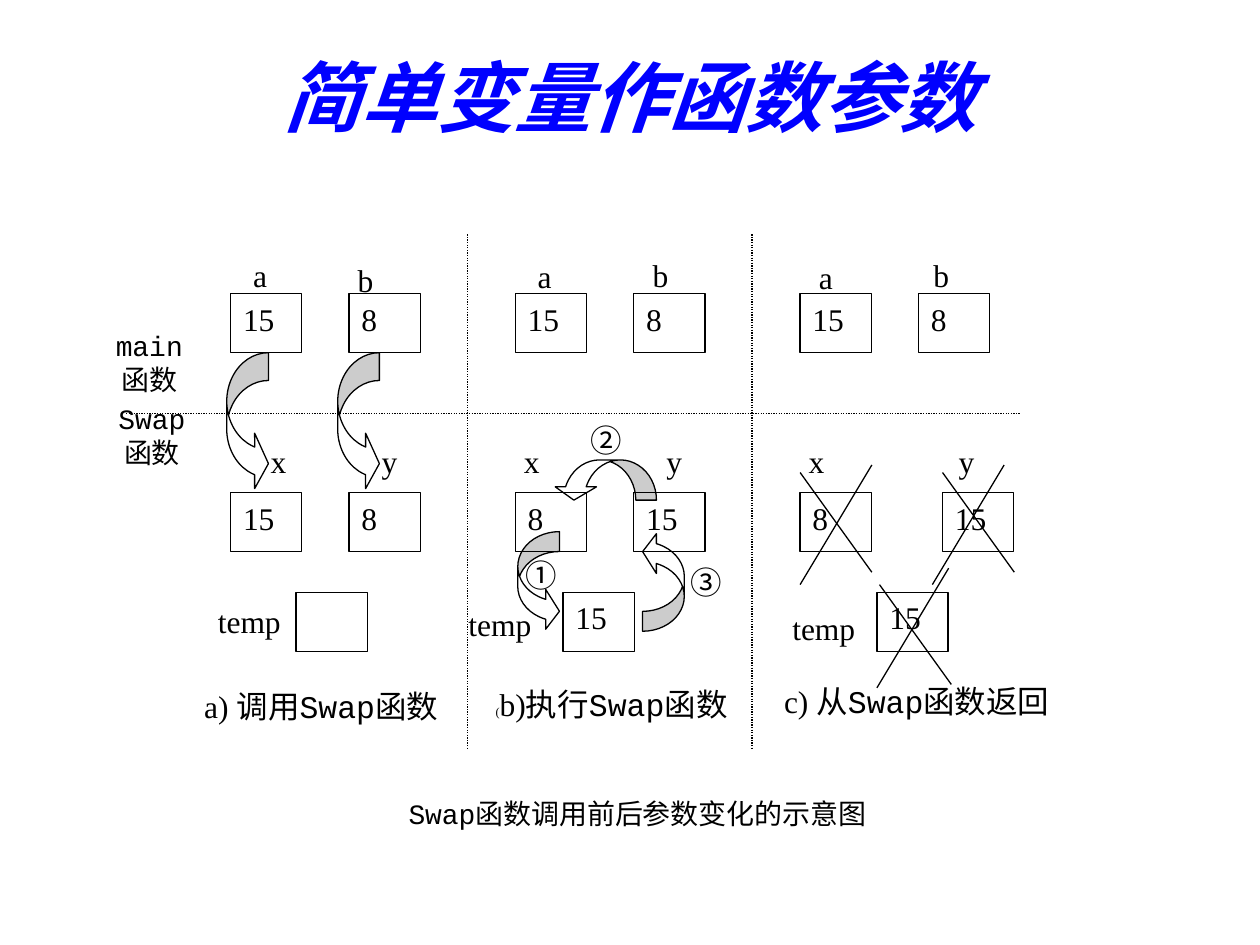
import dataclasses

import pptx
import pptx.dml.color
import pptx.enum.dml
import pptx.enum.shapes
import pptx.enum.text
import pptx.oxml.ns
import pptx.util
from lxml import etree

Pt = pptx.util.Pt
SHAPES = pptx.enum.shapes.MSO_SHAPE
ALIGN = pptx.enum.text.PP_ALIGN
ANCHOR = pptx.enum.text.MSO_ANCHOR


@dataclasses.dataclass
class Theme:
    ink: str = "000000"
    heading: str = "0000FF"
    paper: str = "FFFFFF"
    serif: str = "Times New Roman"
    mono: str = "Courier New"
    symbol: str = "Noto Sans CJK SC"
    title: float = 44
    body: float = 18
    note: float = 16
    tiny: float = 7
    stroke: float = 0.75


class Diagram:
    def __init__(self, slide, theme):
        self.slide = slide
        self.theme = theme

    def color(self, value):
        return pptx.dml.color.RGBColor.from_string(value)

    def fill_text(self, frame, paragraphs, size, align=ALIGN.LEFT, color=None):
        frame.word_wrap = True
        frame.vertical_anchor = ANCHOR.TOP
        for index, pieces in enumerate(paragraphs):
            paragraph = frame.paragraphs[0] if index == 0 else frame.add_paragraph()
            paragraph.alignment = align
            paragraph.font.size = Pt(size)
            paragraph.font.color.rgb = self.color(color or self.theme.ink)
            paragraph.font.name = pieces[0][1]
            for words, font, *special_size in pieces:
                run = paragraph.add_run()
                run.text = words
                if font != pieces[0][1]:
                    run.font.name = font
                if special_size:
                    run.font.size = Pt(special_size[0])

    def text(self, left, top, width, height, paragraphs, size, align=ALIGN.CENTER, color=None):
        box = self.slide.shapes.add_textbox(Pt(left), Pt(top), Pt(width), Pt(height))
        self.fill_text(box.text_frame, paragraphs, size, align, color)
        return box.text_frame

    def label(self, left, top, width, words, font=None):
        pieces = [(words, font or self.theme.serif)]
        self.text(left, top, width, 34.6, [pieces], self.theme.body, ALIGN.LEFT)

    def outline(self, shape):
        shape.shadow.inherit = False
        shape.line.color.rgb = self.color(self.theme.ink)
        shape.line.width = Pt(self.theme.stroke)

    def cell(self, left, top, value):
        cell = self.slide.shapes.add_shape(SHAPES.RECTANGLE, Pt(left), Pt(top), Pt(40.7), Pt(33.8))
        cell.fill.background()
        self.outline(cell)
        if value:
            self.fill_text(cell.text_frame, [[(value, self.theme.serif)]], self.theme.body)

    def line(self, x1, y1, x2, y2, dotted=False):
        line = self.slide.shapes.add_connector(
            pptx.enum.shapes.MSO_CONNECTOR.STRAIGHT, Pt(x1), Pt(y1), Pt(x2), Pt(y2))
        line.line.color.rgb = self.color(self.theme.ink)
        line.line.width = Pt(self.theme.stroke)
        if dotted:
            line.line.dash_style = pptx.enum.dml.MSO_LINE.ROUND_DOT
        properties = line._element.find(pptx.oxml.ns.qn("p:spPr"))
        etree.SubElement(properties, pptx.oxml.ns.qn("a:effectLst"))

    def cross(self, rising_x, rising_top, falling_x, falling_top):
        self.line(rising_x, rising_top + 68.4, rising_x + 41, rising_top)
        self.line(falling_x, falling_top, falling_x + 41, falling_top + 57)

    def curved_arrow(self, left, top, width, height, rotation=0):
        arrow = self.slide.shapes.add_shape(
            SHAPES.CURVED_RIGHT_ARROW, Pt(left), Pt(top), Pt(width), Pt(height))
        arrow.rotation = rotation
        for index, ratio in enumerate((0.2 * height / width, 0.4 * height / width, 0.33)):
            arrow.adjustments[index] = ratio
        arrow.fill.solid()
        arrow.fill.fore_color.rgb = self.color(self.theme.paper)
        self.outline(arrow)


def main():
    deck = pptx.Presentation()
    deck.slide_width, deck.slide_height = Pt(720), Pt(540)
    theme = Theme()
    diagram = Diagram(deck.slides.add_slide(deck.slide_layouts[6]), theme)
    serif, mono = theme.serif, theme.mono

    heading = diagram.text(53.3, 25.9, 614, 66.2, [[("简单变量作函数参数", serif)]],
                           theme.title, color=theme.heading)
    heading.vertical_anchor = ANCHOR.MIDDLE
    heading.paragraphs[0].line_spacing = 0.85
    heading.paragraphs[0].font.bold = True
    heading.paragraphs[0].font.italic = True
    diagram.text(201.6, 451.4, 325.4, 34.6,
                 [[("Swap函数", mono), ("调用前后参数变化的示意图", serif)]], theme.note)

    for arrow in ((295.9, 303.8, 23.8, 56.9), (334.1, 244.8, 23, 59, 90),
                  (367.2, 303.8, 23.8, 56.9, 180),
                  (129.6, 201.6, 23.8, 79.2), (193, 201.6, 23.8, 79.2)):
        diagram.curved_arrow(*arrow)

    for divider_x in (267.1, 429.8):
        diagram.line(divider_x, 133.9, divider_x, 427.7, dotted=True)
    diagram.line(72, 236.2, 583.2, 236.2, dotted=True)

    main_row, swap_row, temp_row = 167.8, 281.5, 338.4
    panels = (
        dict(x="15", y="8", temp="", y_offset=67.7, temp_left=169.2,
             labels=(("a", 137.5, 142.6, 32.4), ("b", 197.3, 145.4, 81.4),
                     ("x", 147.6, 249.1, 50), ("y", 211, 249.1, 54),
                     ("temp", 117.4, 340.6, 67))),
        dict(x="8", y="15", temp="15", y_offset=67.7, temp_left=321.8,
             labels=(("a", 300.2, 143.3, 32.4), ("b", 365.8, 142.6, 81.4),
                     ("x", 292.3, 249.1, 54), ("y", 373.7, 249.1, 54),
                     ("temp", 260.6, 342, 67))),
        dict(x="8", y="15", temp="15", y_offset=81.4, temp_left=501.1,
             labels=(("a", 460.8, 144, 32.4), ("b", 526.3, 142.6, 51.1),
                     ("x", 455, 249.1, 54), ("y", 540.7, 249.1, 54),
                     ("temp", 445.7, 344.2, 67))),
    )
    for index, panel in enumerate(panels):
        left = 131.8 + 162.7 * index
        diagram.cell(left, main_row, "15")
        diagram.cell(left + 67.7, main_row, "8")
        diagram.cell(left, swap_row, panel["x"])
        diagram.cell(left + panel["y_offset"], swap_row, panel["y"])
        diagram.cell(panel["temp_left"], temp_row, panel["temp"])
        for name, label_left, label_top, width in panel["labels"]:
            diagram.label(label_left, label_top, width, name)

    diagram.cross(457.2, 265.7, 457.2, 270)
    diagram.cross(532.8, 265.7, 538.6, 270)
    diagram.cross(501.1, 324.7, 502.6, 334.1)

    for step, left, top in (("①", 293, 313.9), ("②", 330.5, 236.9), ("③", 387.4, 318.2)):
        diagram.label(left, top, 54, step, theme.symbol)

    for function, left, top in (("main", 58.3, 184.3), ("Swap", 59.8, 226.1)):
        diagram.text(left, top, 54, 57.6, [[(function, mono)], [("函数", serif)]], theme.note)

    captions = (
        (102.2, 388.8, 162.7, [("a) 调用", serif), ("Swap函数", mono)]),
        (275, 388.1, 149, [("(", serif, theme.tiny), ("b)执行", serif),
                           ("Swap函", mono), ("数", serif)]),
        (437.8, 385.9, 172.1, [("c) 从", serif), ("Swap", mono), ("函数返回", serif)]),
    )
    for left, top, width, pieces in captions:
        diagram.text(left, top, width, 34.6, [pieces], theme.body)

    deck.save("out.pptx")


if __name__ == "__main__":
    main()
